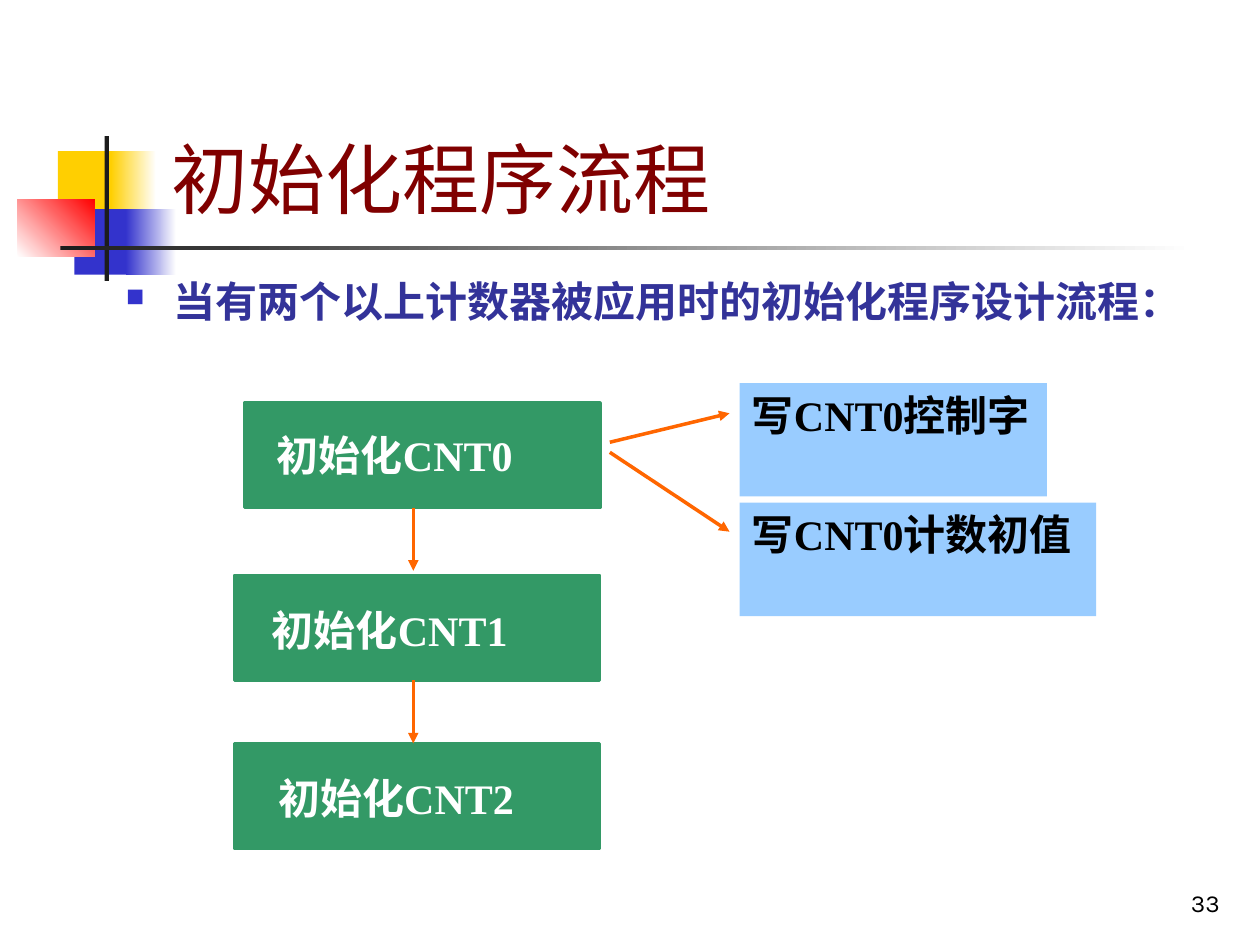
from lxml.etree import SubElement
from pptx import Presentation
from pptx.dml.color import RGBColor
from pptx.enum.shapes import MSO_CONNECTOR, MSO_SHAPE
from pptx.enum.text import MSO_ANCHOR, PP_ALIGN
from pptx.oxml.ns import qn
from pptx.util import Inches, Pt

deck = Presentation()
deck.slide_width, deck.slide_height = Inches(10), Inches(7.5)
slide = deck.slides.add_slide(deck.slide_layouts[6])
col, row = deck.slide_width / 100, deck.slide_height / 75
hue = RGBColor.from_string


def block(x, y, wide, high, tint, fade=None, turn=0):
    rect = slide.shapes.add_shape(MSO_SHAPE.RECTANGLE, int(x * col), int(y * row), int(wide * col), int(high * row))
    rect.shadow.inherit = False
    rect.line.fill.background()
    if fade:
        rect.fill.gradient()
        rect.fill.gradient_angle = turn
        for stop, shade in zip(rect.fill.gradient_stops, (tint, fade)):
            stop.color.rgb = hue(shade)
    else:
        rect.fill.solid()
        rect.fill.fore_color.rgb = hue(tint)
    return rect


def write(x, y, wide, high, words, size, face, tint, bold=False, anchor=MSO_ANCHOR.TOP, box=None):
    box = box or slide.shapes.add_textbox(int(x * col), int(y * row), int(wide * col), int(high * row))
    frame = box.text_frame
    frame.word_wrap = True
    frame.vertical_anchor = anchor
    para = frame.paragraphs[0]
    para.alignment = PP_ALIGN.LEFT
    run = para.add_run()
    run.text = words
    run.font.size, run.font.name, run.font.bold = Pt(size), face, bold
    run.font.color.rgb = hue(tint)
    return para


for tint, left, top, edge, wide, tail in (
    ("FFCF01", 4.6, 12, 8.8, 4.8, 3.6),
    ("3333CC", 5.9, 16.6, 10, 4.6, 4),
):
    block(left, top, wide, 5.2, tint)
    block(edge, top, tail, 5.2, tint, "FFFFFF")
block(1.4, 15.8, 6.1, 4.6, "FFFFFF", "FF0000", 45)
block(8.3, 10.8, 0.35, 11.5, "1C1C1C")
block(4.8, 19.5, 90, 0.35, "1C1C1C", "FFFFFF")

page = write(77, 68.3, 20.8, 5, "33", 14, "Karla", "000000", anchor=MSO_ANCHOR.BOTTOM)
page.alignment = PP_ALIGN.RIGHT
write(12.6, 2.3, 85.2, 16, "初始化程序流程", 44, "Karla", "800000", anchor=MSO_ANCHOR.BOTTOM)

lead = write(9, 21, 88.2, 7.9, "当有两个以上计数器被应用时的初始化程序设计流程：", 24, "Karla", "333399", True)
props = lead._p.get_or_add_pPr()
props.set("marL", str(Inches(0.38)))
props.set("indent", str(-Inches(0.38)))
SubElement(SubElement(props, qn("a:buClr")), qn("a:srgbClr"), val="3333CC")
SubElement(props, qn("a:buSzPct"), val="60000")
SubElement(props, qn("a:buChar"), char="■")
lead.line_spacing, lead.space_after = 1.1, Pt(1.5)

serif = "Times New Roman"
for step, (left, top, inset, drop) in enumerate(((19.4, 32, 1.6, 1.6), (18.6, 45.7, 2, 1.8), (18.6, 59, 2.5, 1.8))):
    card = block(left, top, 47.6 - left, 8.3, "339966")
    card.line.color.rgb, card.line.width = hue("339966"), Pt(2)
    write(left + inset, top + drop, 24.4, 5, f"初始化CNT{step}", 24, serif, "FFFFFF", True)

for top, wide, words in ((30.4, 24.4, "写CNT0控制字"), (39.9, 28.3, "写CNT0计数初值")):
    note = block(58.7, top, wide, 9, "99CCFF")
    write(0, 0, 0, 0, words, 24, serif, "000000", True, box=note)

for x, y, far, low in (
    (32.8, 40.3, 32.8, 45.3),
    (32.8, 54, 32.8, 59),
    (48.4, 35.1, 57.9, 32.8),
    (48.4, 35.9, 57.9, 42.2),
):
    link = slide.shapes.add_connector(MSO_CONNECTOR.STRAIGHT, int(x * col), int(y * row), int(far * col), int(low * row))
    link.line.color.rgb, link.line.width = hue("FF6600"), Pt(2)
    SubElement(link.line._get_or_add_ln(), qn("a:tailEnd"), type="triangle")
    SubElement(link._element.spPr, qn("a:effectLst"))

deck.save("out.pptx")
